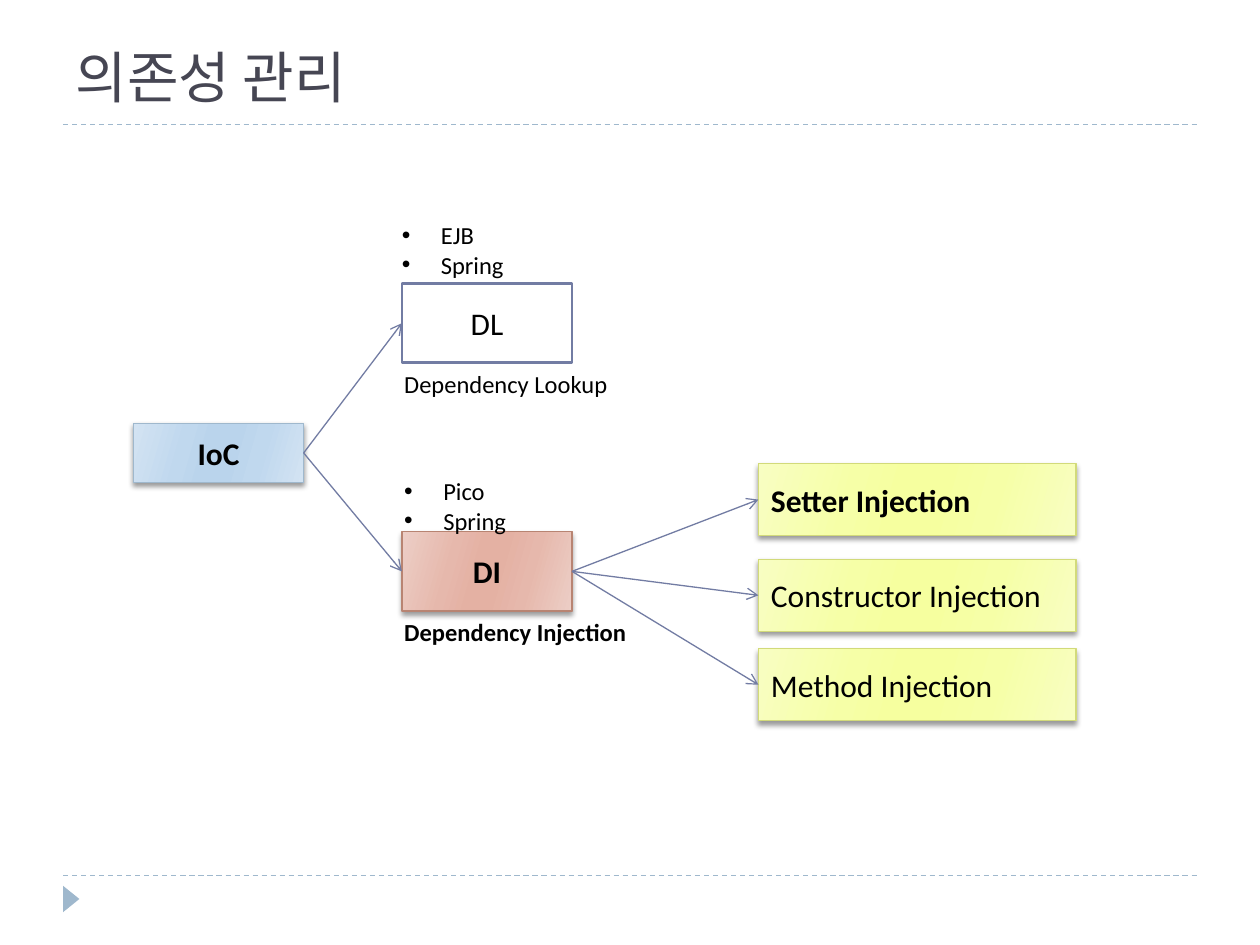
from lxml.etree import SubElement
from pptx import Presentation
from pptx.dml.color import RGBColor
from pptx.enum.dml import MSO_LINE
from pptx.enum.shapes import MSO_CONNECTOR, MSO_SHAPE
from pptx.enum.text import MSO_ANCHOR, MSO_AUTO_SIZE, PP_ALIGN
from pptx.oxml.ns import qn
from pptx.util import Inches, Pt

COLORS = {
    "title": "464653", "text": "000000", "white": "FFFFFF",
    "accent": "727CA3", "rule": "9FB8CD", "red": "B88472", "lime": "D2DA7A",
}
GRADIENTS = {
    "rule": ("D3E3F2", "C0D8EE", "BAD4EC"),
    "red": ("ECCEC6", "E6B8AC", "E4B1A3"),
    "lime": ("F8FEC2", "F6FFA7", "F6FF9F"),
}
LEFT_SITE, RIGHT_SITE = 1, 3


def rgb(name):
    """Return the named colour."""
    return RGBColor.from_string(COLORS[name])


def add_xml(parent, tag, **attributes):
    """Append a DrawingML element and return it."""
    values = {key: str(value) for key, value in attributes.items()}
    return SubElement(parent, qn(f"a:{tag}"), values)


class DiagramSlide:
    """Holds the slide and draws its elements in one style."""

    def __init__(self, slide, font="Calibri", title_font="Noto Sans CJK KR"):
        self.slide = slide
        self.shapes = slide.shapes
        self.font = font
        self.title_font = title_font

    def title(self, text):
        """Fill and place the title placeholder."""
        heading = self.shapes.title
        heading.left, heading.top = Inches(0.5), Inches(0.25)
        heading.width, heading.height = Inches(9), Inches(0.67)
        frame = heading.text_frame
        frame.text = text
        frame.vertical_anchor = MSO_ANCHOR.BOTTOM
        paragraph = frame.paragraphs[0]
        paragraph.alignment = PP_ALIGN.LEFT
        self.style(paragraph, 32, "title", font=self.title_font)
        run_properties = paragraph.runs[0].font
        run_properties.name = self.title_font
        add_xml(paragraph.runs[0]._r.get_or_add_rPr(), "ea", typeface=self.title_font)

    def style(self, paragraph, size, color="text", bold=False, font=None):
        """Set the font of a paragraph."""
        paragraph.font.name = font or self.font
        paragraph.font.size = Pt(size)
        paragraph.font.bold = bold
        paragraph.font.color.rgb = rgb(color)

    def shape(self, kind, left, top, width, height, fill):
        """Add a flat preset shape."""
        shape = self.shapes.add_shape(
            kind, Inches(left), Inches(top), Inches(width), Inches(height))
        shape.shadow.inherit = False
        shape.fill.solid()
        shape.fill.fore_color.rgb = rgb(fill)
        return shape

    def marker(self, left, top, width, height):
        """Add the footer triangle."""
        triangle = self.shape(
            MSO_SHAPE.ISOSCELES_TRIANGLE, left, top, width, height, "rule")
        triangle.rotation = 90
        triangle.line.fill.background()

    def box(self, text, left, top, width, height, line,
            line_width=0.75, bold=False, align=PP_ALIGN.CENTER):
        """Add a labelled box, with gradient and shadow where its colour has one."""
        box = self.shape(MSO_SHAPE.RECTANGLE, left, top, width, height, "white")
        box.line.color.rgb = rgb(line)
        box.line.width = Pt(line_width)
        if line in GRADIENTS:
            self.gradient(box, GRADIENTS[line])
            self.shadow(box)
        frame = box.text_frame
        frame.text = text
        frame.vertical_anchor = MSO_ANCHOR.MIDDLE
        frame.paragraphs[0].alignment = align
        self.style(frame.paragraphs[0], 18, bold=bold)
        return box

    def gradient(self, box, tones):
        """Fill a box with a mirrored gradient."""
        box.fill.gradient()
        gradient = box._element.spPr.find(qn("a:gradFill"))
        for child in list(gradient):
            gradient.remove(child)
        stops = add_xml(gradient, "gsLst")
        for position, tone in zip((0, 30, 45, 55, 73, 100), tones + tones[::-1]):
            stop = add_xml(stops, "gs", pos=position * 1000)
            add_xml(stop, "srgbClr", val=tone)
        add_xml(gradient, "lin", ang=16 * 60000, scaled=0)

    def shadow(self, box):
        """Add a soft shadow below a box."""
        effects = box._element.spPr.find(qn("a:effectLst"))
        outer = add_xml(effects, "outerShdw", blurRad=Pt(3), dist=Pt(2),
                        dir=90 * 60000, rotWithShape=0)
        color = add_xml(outer, "srgbClr", val=COLORS["text"])
        add_xml(color, "alpha", val=40000)

    def line(self, start, end, color):
        """Add a thin straight line."""
        line = self.shapes.add_connector(
            MSO_CONNECTOR.STRAIGHT, *(Inches(value) for value in start + end))
        line.line.color.rgb = rgb(color)
        line.line.width = Pt(0.75)
        add_xml(line._element.spPr, "effectLst")
        return line

    def rule(self, top):
        """Add a dashed line across the slide."""
        self.line((0.5, top), (9.5, top), "rule").line.dash_style = MSO_LINE.DASH

    def arrow(self, source, target):
        """Join the right of one box to the left of another."""
        arrow = self.line((0, 0), (1, 1), "accent")
        arrow.begin_connect(source, RIGHT_SITE)
        arrow.end_connect(target, LEFT_SITE)
        add_xml(arrow.line._get_or_add_ln(), "tailEnd", type="arrow")

    def label(self, lines, left, top, width, height, bold=False, bullets=False):
        """Add a text label, bulleted on request."""
        label = self.shapes.add_textbox(
            Inches(left), Inches(top), Inches(width), Inches(height))
        frame = label.text_frame
        frame.word_wrap = False
        frame.auto_size = MSO_AUTO_SIZE.SHAPE_TO_FIT_TEXT
        frame.text = "\n".join(lines)
        for paragraph in frame.paragraphs:
            self.style(paragraph, 14, bold=bold)
            if bullets:
                properties = paragraph._p.get_or_add_pPr()
                properties.set("marL", str(Inches(0.31)))
                properties.set("indent", str(-Inches(0.31)))
                bullet_font = properties.makeelement(qn("a:buFont"), {"typeface": "Arial"})
                bullet = properties.makeelement(qn("a:buChar"), {"char": "•"})
                properties.insert(0, bullet_font)
                properties.insert(1, bullet)


def main():
    """Build the dependency management slide."""
    deck = Presentation()
    deck.slide_width, deck.slide_height = Inches(10), Inches(7.5)
    page = DiagramSlide(deck.slides.add_slide(deck.slide_layouts[5]))

    for top in (6.95, 0.99):
        page.rule(top)
    page.marker(0.46, 7.07, 0.21, 0.13)
    page.title("의존성 관리")

    ioc = page.box("IoC", 1.06, 3.36, 1.35, 0.47, "rule", bold=True)
    lookup = page.box("DL", 3.19, 2.25, 1.35, 0.63, "accent", line_width=1.5)
    injection = page.box("DI", 3.19, 4.22, 1.35, 0.63, "red", bold=True)
    methods = [
        page.box(f"{name} Injection", 6.02, top, 2.52, 0.57, "lime",
                 bold=name == "Setter", align=PP_ALIGN.LEFT)
        for name, top in (("Setter", 3.68), ("Constructor", 4.44), ("Method", 5.15))
    ]

    for target in (lookup, injection):
        page.arrow(ioc, target)
    for method in methods:
        page.arrow(injection, method)

    page.label(["EJB", "Spring"], 3.09, 1.7, 1.01, 0.57, bullets=True)
    page.label(["Pico", "Spring"], 3.11, 3.73, 1.01, 0.57, bullets=True)
    page.label(["Dependency Lookup"], 3.11, 2.88, 1.86, 0.34)
    page.label(["Dependency Injection"], 3.11, 4.85, 2.2, 0.34, bold=True)

    deck.save("out.pptx")


main()
